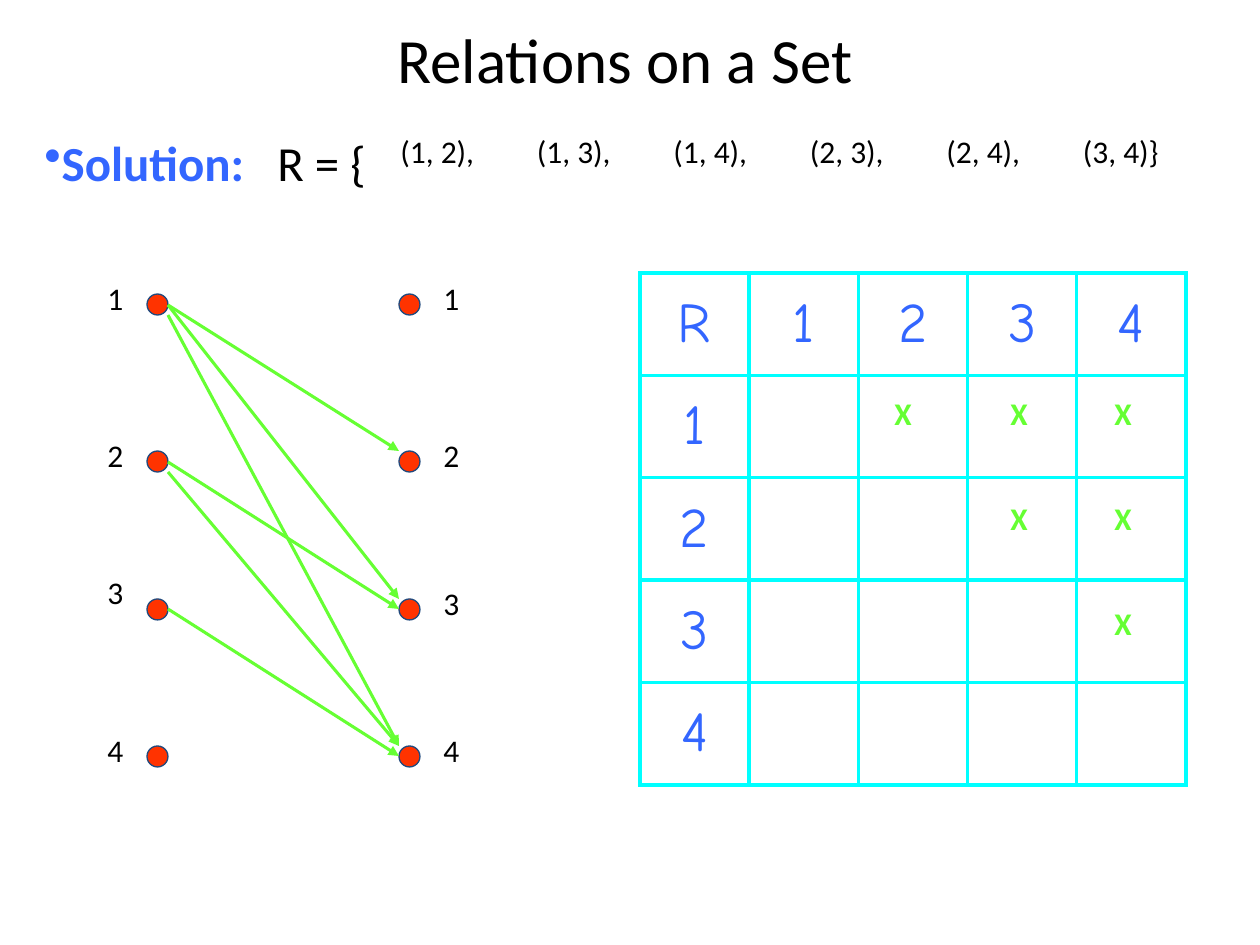
from lxml.etree import SubElement
from pptx import Presentation
from pptx.dml.color import RGBColor
from pptx.enum.shapes import MSO_CONNECTOR, MSO_SHAPE
from pptx.enum.text import MSO_ANCHOR, PP_ALIGN
from pptx.oxml import parse_xml
from pptx.oxml.ns import nsdecls, qn
from pptx.util import Pt

COLORS = {"text": "000000", "blue": "3366FF", "green": "66FF33",
          "dot": "FF3300", "rim": "1F497D", "grid": "00FFFF"}
FONT, HAND = "Calibri", "Comic Neue"
TITLE = "Relations on a Set"
SOLUTION = ("Solution:\t", "R = {")
ITEMS = [1, 2, 3, 4]
# Each pair of the relation, with the drop of its arrow's two ends below the dots' tops
PAIRS = [(1, 2, 11, 0), (1, 3, 11, 0), (1, 4, 21, 0),
         (2, 3, 11, 10), (2, 4, 21, 0), (3, 4, 10, 10)]

DOT = 21
DOT_TOP = {1: 294, 2: 451, 3: 599, 4: 746}
DOT_LEFT = [147, 399]
LABEL_LEFT = [95, 431]
RAISED = {(0, 3): 11}  # label set a little higher than the rest
MARK_LEFT = {2: 882, 3: 998, 4: 1102}
MARK_TOP, MARK_STEP = 388, 105
TABLE = (640, 273, 546, 512)


def px(n):
    return round(n * 914400 / 126)


def rgb(name):
    return RGBColor.from_string(COLORS[name])


def style(run, size, color="text", bold=False, font=FONT):
    run.font.name = font
    run.font.size = Pt(size)
    run.font.bold = bold
    run.font.color.rgb = rgb(color)


def add_text(slide, box, text, size=18, color="text", bold=False):
    frame = slide.shapes.add_textbox(*map(px, box)).text_frame
    frame.word_wrap = True
    frame.text = text
    style(frame.paragraphs[0].runs[0], size, color, bold)
    return frame.paragraphs[0]


def add_title(slide):
    title = slide.shapes.title
    title.left, title.top, title.width, title.height = map(px, (63, 0, 1124, 116))
    frame = title.text_frame
    frame.text = TITLE
    frame.vertical_anchor = MSO_ANCHOR.MIDDLE
    frame.paragraphs[0].alignment = PP_ALIGN.CENTER
    style(frame.paragraphs[0].runs[0], 36)


def add_solution(slide):
    head, rest = SOLUTION
    para = add_text(slide, (32, 126, 1207, 126), head, 28, "blue", True)
    run = para.add_run()
    run.text = rest
    style(run, 28)
    props = para._p.get_or_add_pPr()
    props.set("marL", "0")
    props.set("indent", "0")
    SubElement(props, qn("a:buChar")).set("char", "•")
    tab = SubElement(SubElement(props, qn("a:tabLst")), qn("a:tab"))
    tab.set("pos", str(px(233)))
    tab.set("algn", "l")

    for i, (a, b, *_) in enumerate(PAIRS):
        end = "}" if i == len(PAIRS) - 1 else ","
        add_text(slide, (388 + i * 136.5, 126, 189, 72), f"({a}, {b}){end}")


def add_dots(slide):
    for side, left in enumerate(DOT_LEFT):
        for item in ITEMS:
            top = DOT_TOP[item]
            dot = slide.shapes.add_shape(
                MSO_SHAPE.OVAL, px(left), px(top), px(DOT), px(DOT))
            dot.shadow.inherit = False
            dot.fill.solid()
            dot.fill.fore_color.rgb = rgb("dot")
            dot.line.color.rgb = rgb("rim")
            dot.line.width = Pt(0.75)
            lift = DOT + RAISED.get((side, item), 0)
            add_text(slide, (LABEL_LEFT[side], top - lift, 53, 72), str(item))


def add_arrows(slide):
    for a, b, start, end in PAIRS:
        line = slide.shapes.add_connector(
            MSO_CONNECTOR.STRAIGHT,
            px(DOT_LEFT[0] + DOT), px(DOT_TOP[a] + start),
            px(DOT_LEFT[1]), px(DOT_TOP[b] + end))
        line.line.color.rgb = rgb("green")
        line.line.width = Pt(1.75)
        SubElement(line.line._get_or_add_ln(), qn("a:tailEnd")).set("type", "triangle")
        SubElement(line._element.spPr, qn("a:effectLst"))


def add_borders(cell):
    props = cell._tc.get_or_add_tcPr()
    for i, side in enumerate(("lnL", "lnR", "lnT", "lnB")):
        props.insert(i, parse_xml(
            f'<a:{side} {nsdecls("a")} w="{Pt(2.25)}"><a:solidFill>'
            f'<a:srgbClr val="{COLORS["grid"]}"/></a:solidFill></a:{side}>'))


def add_matrix(slide):
    heads = ["R", *map(str, ITEMS)]
    size = len(heads)
    table = slide.shapes.add_table(size, size, *map(px, TABLE)).table
    table.first_row = table.horz_banding = False
    for r in range(size):
        for c in range(size):
            cell = table.cell(r, c)
            cell.fill.background()
            add_borders(cell)
            if r and c:
                continue
            cell.text = heads[r + c]
            cell.vertical_anchor = MSO_ANCHOR.MIDDLE
            para = cell.text_frame.paragraphs[0]
            para.alignment = PP_ALIGN.CENTER
            style(para.runs[0], 32, "blue", font=HAND)

    for a, b, *_ in PAIRS:
        top = MARK_TOP + (a - 1) * MARK_STEP
        add_text(slide, (MARK_LEFT[b], top, 74, 72), "X", 18, "green", True)


def main():
    deck = Presentation()
    deck.slide_width, deck.slide_height = px(1260), px(945)
    slide = deck.slides.add_slide(deck.slide_layouts[5])
    add_title(slide)
    add_solution(slide)
    add_dots(slide)
    add_arrows(slide)
    add_matrix(slide)
    deck.save("out.pptx")


if __name__ == "__main__":
    main()
